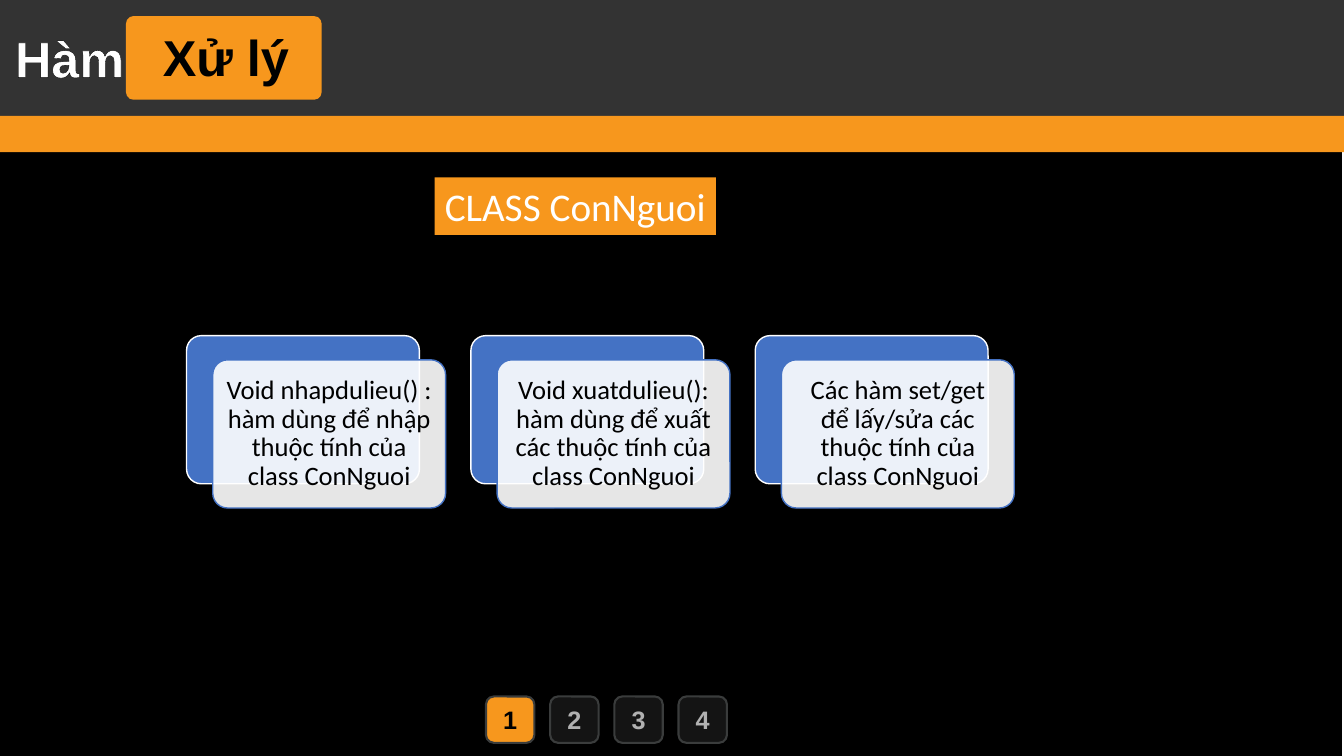
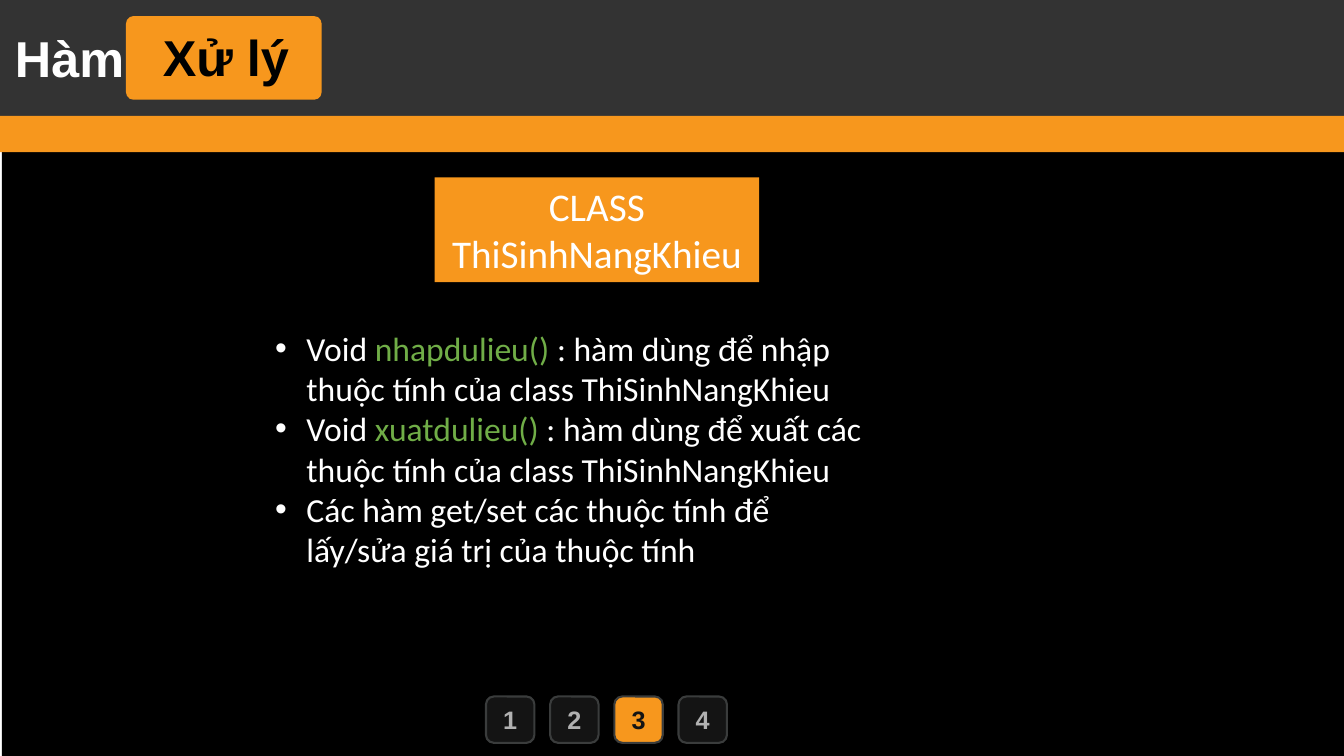
"""Two slides on the processing functions of each class."""
from dataclasses import dataclass
from typing import NamedTuple

from pptx import Presentation
from pptx.dml.color import RGBColor
from pptx.enum.shapes import MSO_SHAPE as SHAPE
from pptx.enum.text import MSO_ANCHOR as ANCHOR, MSO_AUTO_SIZE as AUTO, PP_ALIGN as ALIGN
from pptx.oxml.ns import qn
from pptx.util import Inches, Pt
from lxml.etree import SubElement, Element


@dataclass(frozen=True)
class Theme:
    """Colours, fonts and type sizes of the deck."""
    black: str = "000000"
    white: str = "FFFFFF"
    header: str = "333333"
    accent: str = "F7971D"
    button: str = "141414"
    button_line: str = "3A3C3C"
    muted: str = "B1B1B1"
    blue: str = "4472C4"
    green: str = "70AD47"
    head_font: str = "Arial"
    body_font: str = "Calibri"
    title_size: int = 36
    class_size: int = 28
    list_size: int = 24
    card_size: int = 19
    page_size: int = 18


class Box(NamedTuple):
    """A rectangle in inches."""
    left: float
    top: float
    width: float
    height: float


T = Theme()
TITLE = {"name": T.head_font, "size": Pt(T.title_size), "bold": True}
PAGE = {"name": T.head_font, "size": Pt(T.page_size), "bold": True}
CLASS = {"name": T.body_font, "size": Pt(T.class_size)}
LIST = {"name": T.body_font, "size": Pt(T.list_size)}
CARD = {"name": T.body_font, "size": Pt(T.card_size)}

CARDS = [
    "Void nhapdulieu() : hàm dùng để nhập thuộc tính của class ConNguoi",
    "Void xuatdulieu(): hàm dùng để xuất các thuộc tính của class ConNguoi",
    "Các hàm set/get để lấy/sửa các thuộc tính của class ConNguoi",
]
ITEMS = [
    [("Void ", T.white), ("nhapdulieu() ", T.green),
     (": hàm dùng để nhập thuộc tính của class ThiSinhNangKhieu", T.white)],
    [("Void ", T.white), ("xuatdulieu() ", T.green),
     (": hàm dùng để xuất các thuộc tính của class ThiSinhNangKhieu", T.white)],
    [("Các hàm get/set các thuộc tính để lấy/sửa giá trị của thuộc tính", T.white)],
]


def set_attrs(obj, values):
    """Set every attribute named in a dict."""
    for name, value in values.items():
        setattr(obj, name, value)


def place(sp, box):
    """Move a shape to a box."""
    set_attrs(sp, {name: Inches(value) for name, value in box._asdict().items()})


def add_run(p, text, color, style):
    """Add a formatted run to a paragraph."""
    r = p.add_run()
    r.text = text
    set_attrs(r.font, style)
    r.font.color.rgb = RGBColor.from_string(color)
    return r


def write(sp, text, color, style, anchor=ANCHOR.MIDDLE, wrap=True, inset=None):
    """Put one centred paragraph into a shape."""
    tf = sp.text_frame
    set_attrs(tf, {"word_wrap": wrap, "auto_size": AUTO.NONE, "vertical_anchor": anchor})
    if inset is not None:
        sides = ("left", "right", "top", "bottom")
        set_attrs(tf, {f"margin_{side}": Inches(inset) for side in sides})
    p = tf.paragraphs[0]
    p.alignment = ALIGN.CENTER
    return add_run(p, text, color, style)


def add_box(s, box, fill, line=None, width=1, radius=None):
    """Add a rectangle, rounded when a radius is given."""
    kind = SHAPE.RECTANGLE if radius is None else SHAPE.ROUNDED_RECTANGLE
    sp = s.shapes.add_shape(kind, *map(Inches, box))
    sp.shadow.inherit = False
    sp.fill.solid()
    sp.fill.fore_color.rgb = RGBColor.from_string(fill)
    if radius is not None:
        sp.adjustments[0] = radius
    if line:
        sp.line.color.rgb = RGBColor.from_string(line)
        sp.line.width = Pt(width)
    else:
        sp.line.fill.background()
    return sp


def add_outline(r):
    """Give a run a thin black outline."""
    ln = Element(qn("a:ln"), w=str(Pt(0.75)))
    fill = SubElement(ln, qn("a:solidFill"))
    SubElement(fill, qn("a:srgbClr"), val=T.black)
    r._r.get_or_add_rPr().insert(0, ln)


def bring_forward(s, sp):
    """Move a placeholder above the shapes drawn so far."""
    s.shapes.element.append(sp.element)


def add_header(s, box, outlined):
    """Draw the title band, its tab and the stripe below."""
    left, top, width, height = box
    add_box(s, box, T.header)
    title = s.shapes.title
    place(title, Box(left - 0.16, top + 0.22, 1.7, 0.71))
    bring_forward(s, title)
    r = write(title, "Hàm", T.white, TITLE, ANCHOR.TOP)
    if outlined:
        add_outline(r)
    tab = add_box(s, Box(left + 1.25, top + 0.16, 1.94, 0.83), T.accent, radius=0.09)
    write(tab, "Xử lý", T.black, TITLE)
    set_attrs(tab.text_frame, {"margin_left": Inches(0.14), "margin_bottom": Inches(0.08)})
    add_box(s, Box(left - 0.02, top + height - 0.03, width + 0.05, 0.36), T.accent)


def add_pages(s, box, current, current_color, count=4):
    """Draw the page buttons, evenly spaced across a box."""
    size = 0.48
    step = (box.width - size) / (count - 1)
    for i in range(count):
        active = i + 1 == current
        button = Box(box.left + i * step, box.top, size, box.height)
        sp = add_box(s, button, T.accent if active else T.button, T.button_line, 1.5, 0.17)
        write(sp, str(i + 1), current_color if active else T.muted, PAGE)


def add_cards(s, box, texts):
    """Draw a row of cards, each over an offset blue card."""
    width, height, dx, dy = 2.31, 1.47, 0.26, 0.24
    step = (box.width - width - dx) / (len(texts) - 1)
    for i, text in enumerate(texts):
        left = box.left + i * step
        add_box(s, Box(left, box.top, width, height), T.blue, T.white, radius=0.1)
        card = add_box(s, Box(left + dx, box.top + dy, width, height), T.white, T.blue, radius=0.1)
        color = card.element.spPr.find(".//" + qn("a:srgbClr"))
        SubElement(color, qn("a:alpha"), val="90000")
        write(card, text, T.black, CARD, inset=0.08)
        card.text_frame.paragraphs[0].line_spacing = 0.9


def add_list(s, box, items):
    """Fill the body placeholder with a bulleted list."""
    body = s.placeholders[1]
    place(body, box)
    bring_forward(s, body)
    tf = body.text_frame
    set_attrs(tf, {"word_wrap": True, "auto_size": AUTO.NONE, "vertical_anchor": ANCHOR.TOP})
    for i, item in enumerate(items):
        p = tf.add_paragraph() if i else tf.paragraphs[0]
        pPr = p._p.get_or_add_pPr()
        pPr.set("marL", str(Inches(0.31)))
        pPr.set("indent", str(-Inches(0.31)))
        SubElement(pPr, qn("a:buChar"), char="•")
        p.space_before = Pt(0)
        for text, color in item:
            add_run(p, text, color, LIST)


def add_class_slide(prs, layout, name, tag, page, page_color, shift, wrap=True, outlined=False):
    """Add a slide with the shared frame and a class name tag."""
    s = prs.slides.add_slide(prs.slide_layouts[layout])
    add_box(s, Box(shift, 0, 13.33, 7.5), T.black)
    add_header(s, Box(0, 0, 13.33, 1.18), outlined)
    add_pages(s, Box(4.82, 6.91, 2.39, 0.46), page, page_color)
    write(add_box(s, tag, T.accent), name, T.white, CLASS, ANCHOR.TOP, wrap)
    return s


def main():
    """Build and save the deck."""
    prs = Presentation()
    set_attrs(prs, {"slide_width": Inches(13.33), "slide_height": Inches(7.5)})
    s = add_class_slide(prs, 5, "CLASS ConNguoi", Box(4.31, 1.76, 2.79, 0.57),
                        1, T.black, -0.02, wrap=False, outlined=True)
    add_cards(s, Box(1.85, 3.33, 8.21, 1.71), CARDS)
    s = add_class_slide(prs, 1, "CLASS ThiSinhNangKhieu", Box(4.31, 1.76, 3.22, 1.04),
                        3, T.button, 0.02)
    add_list(s, Box(2.63, 3.2, 6.14, 2.83), ITEMS)
    prs.save("out.pptx")


if __name__ == "__main__":
    main()
